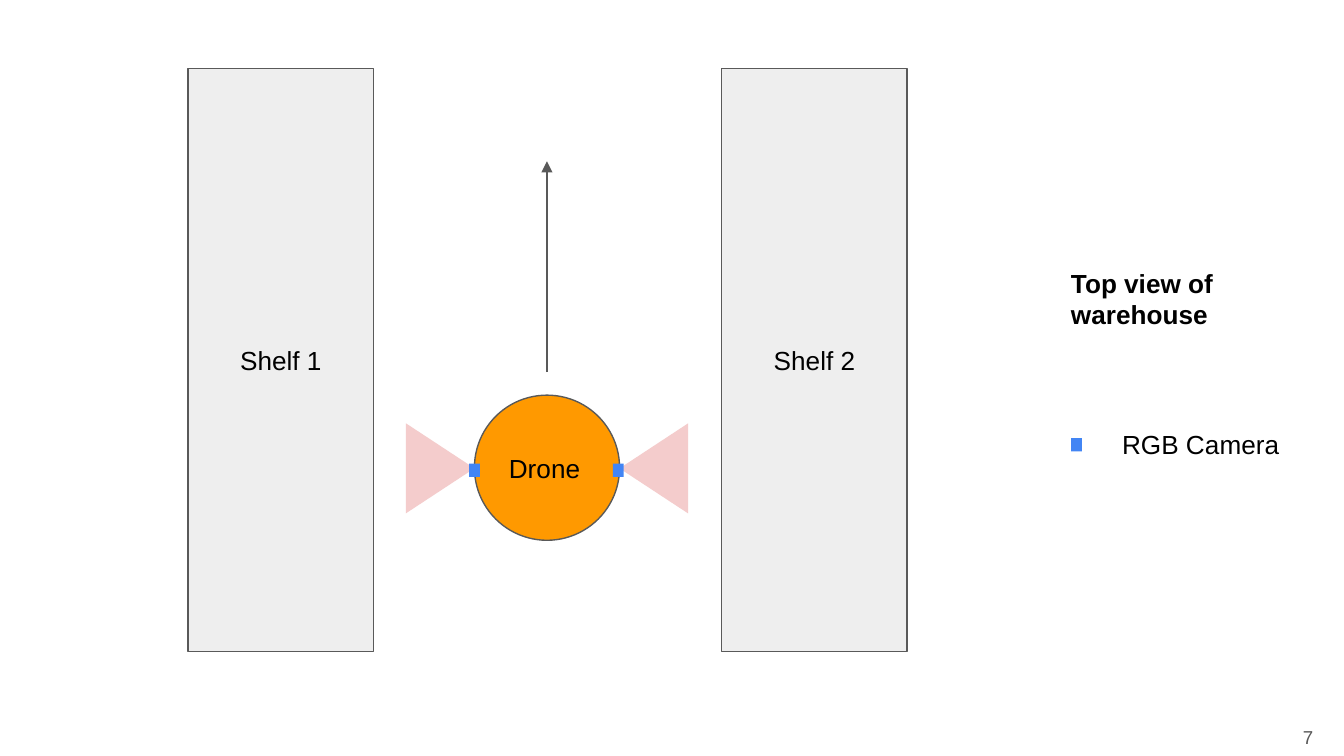
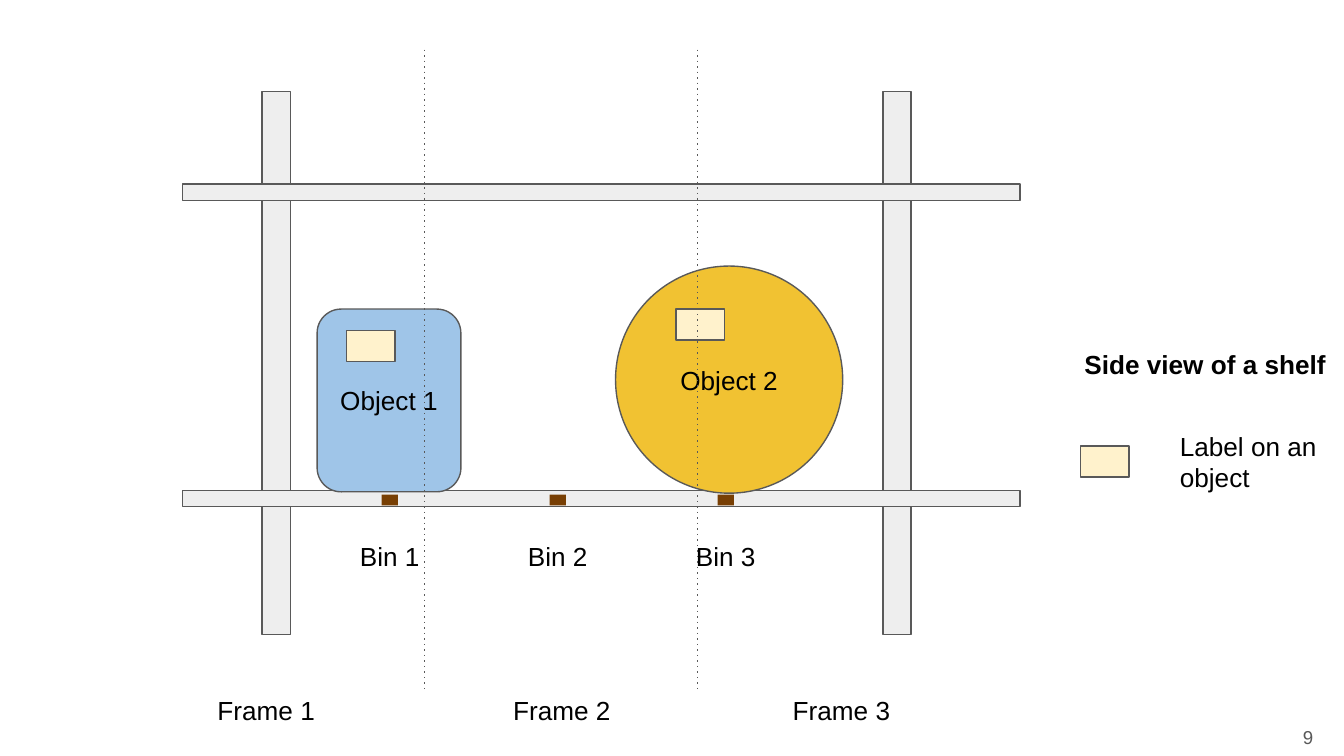
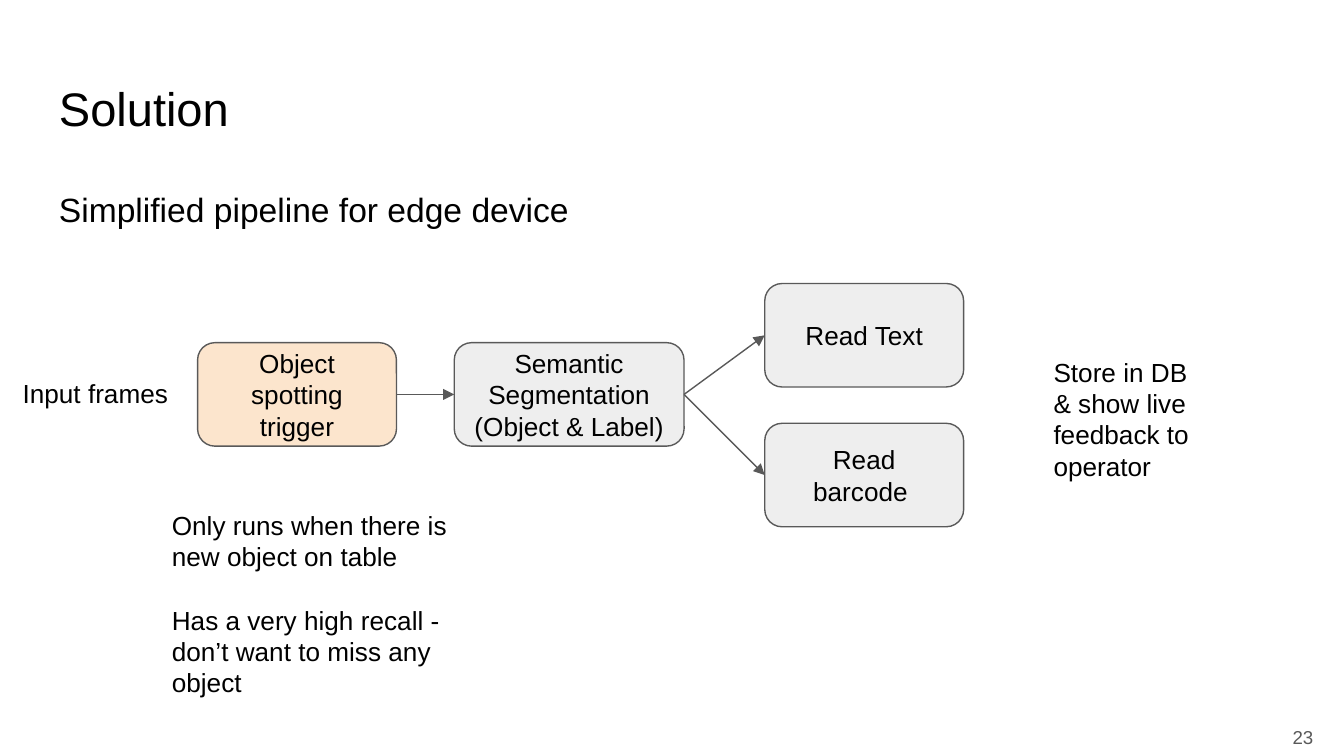
from lxml import etree
from pptx import Presentation
from pptx.dml.color import RGBColor
from pptx.enum.shapes import MSO_CONNECTOR, MSO_SHAPE
from pptx.enum.text import MSO_ANCHOR, MSO_AUTO_SIZE, PP_ALIGN
from pptx.oxml.ns import qn
from pptx.util import Emu, Pt

EMU_PER_PX = 9144  # 100 px to the inch
SLIDE_WIDTH = 1000

BLACK = RGBColor(0x00, 0x00, 0x00)
DARK_GREY = RGBColor(0x59, 0x59, 0x59)
LIGHT_GREY = RGBColor(0xEE, 0xEE, 0xEE)
ORANGE = RGBColor(0xFF, 0x99, 0x00)
PINK = RGBColor(0xF4, 0xCC, 0xCC)
CAMERA_BLUE = RGBColor(0x42, 0x85, 0xF4)
SKY_BLUE = RGBColor(0x9F, 0xC5, 0xE8)
YELLOW = RGBColor(0xF1, 0xC2, 0x32)
CREAM = RGBColor(0xFF, 0xF2, 0xCC)
BROWN = RGBColor(0x78, 0x3F, 0x04)
PEACH = RGBColor(0xFC, 0xE5, 0xCD)

RECTANGLE = MSO_SHAPE.RECTANGLE
ROUNDED = MSO_SHAPE.ROUNDED_RECTANGLE
OVAL = MSO_SHAPE.OVAL
TRIANGLE = MSO_SHAPE.ISOSCELES_TRIANGLE
STRAIGHT = MSO_CONNECTOR.STRAIGHT
LEFT, CENTER, RIGHT = PP_ALIGN.LEFT, PP_ALIGN.CENTER, PP_ALIGN.RIGHT
TOP, MIDDLE = MSO_ANCHOR.TOP, MSO_ANCHOR.MIDDLE
GROW, FIXED = MSO_AUTO_SIZE.SHAPE_TO_FIT_TEXT, MSO_AUTO_SIZE.NONE
LEFT_SIDE, RIGHT_SIDE = 1, 3

LINE_WIDTH = Pt(0.75)
INSET = 10
FONT = {"name": "Arial", "size": Pt(14), "bold": False}
ARROW = ("a:tailEnd", {"type": "triangle"})
DOTTED = ("a:prstDash", {"val": "dot"})


def px(*lengths):
    return [Emu(length * EMU_PER_PX) for length in lengths]


def set_attributes(target, values):
    for name, value in values.items():
        setattr(target, name, value)


def write_text(shape, text, anchor, align, auto_size=FIXED, color=BLACK,
               font=None, spacing=None):
    """Put each line of text in its own paragraph; spacing applies after the first."""
    inset, = px(INSET)
    frame = shape.text_frame
    frame.text = text
    set_attributes(frame, {
        "word_wrap": True, "auto_size": auto_size, "vertical_anchor": anchor,
        "margin_left": inset, "margin_right": inset,
        "margin_top": inset, "margin_bottom": inset,
    })
    for index, paragraph in enumerate(frame.paragraphs):
        paragraph.alignment = align
        if index and spacing:
            paragraph.space_before = spacing
        for run in paragraph.runs:
            set_attributes(run.font, {**FONT, **(font or {})})
            run.font.color.rgb = color


def add_figure(shapes, kind, box, fill, text="", align=CENTER, outlined=True,
               rotation=0):
    shape = shapes.add_shape(kind, *px(*box))
    shape.shadow.inherit = False
    shape.rotation = rotation
    shape.fill.solid()
    shape.fill.fore_color.rgb = fill
    if outlined:
        shape.line.color.rgb = DARK_GREY
        shape.line.width = LINE_WIDTH
    else:
        shape.line.fill.background()
    if text:
        write_text(shape, text, MIDDLE, align)
    return shape


def add_label(shapes, box, text, anchor=TOP, align=LEFT, auto_size=GROW, **style):
    label = shapes.add_textbox(*px(*box))
    write_text(label, text, anchor, align, auto_size, **style)
    return label


def add_line(slide, start, end, ending):
    line = slide.shapes.add_connector(STRAIGHT, *px(*start, *end))
    line.line.color.rgb = DARK_GREY
    line.line.width = LINE_WIDTH
    properties = line.element.spPr
    tag, attributes = ending
    etree.SubElement(properties.find(qn("a:ln")), qn(tag), attributes)
    etree.SubElement(properties, qn("a:effectLst"))
    return line


def join(slide, source, target):
    arrow = add_line(slide, (0, 0), (0, 0), ARROW)
    arrow.begin_connect(source, RIGHT_SIDE)
    arrow.end_connect(target, LEFT_SIDE)


def add_slide(presentation, number):
    slide = presentation.slides.add_slide(presentation.slide_layouts[6])
    add_label(slide.shapes, (927, 527, 60, 43), str(number), MIDDLE, RIGHT, FIXED,
              color=DARK_GREY, font={"size": Pt(10)})
    return slide


def build_top_view(presentation):
    slide = add_slide(presentation, 7)
    shapes = slide.shapes
    for left, name in ((140, "Shelf 1"), (537, "Shelf 2")):
        add_figure(shapes, RECTANGLE, (left, 51, 138, 434), LIGHT_GREY, name)
    add_label(shapes, (787, 189, 139, 67), "Top view of warehouse",
              font={"bold": True})
    add_figure(shapes, OVAL, (353, 294, 108, 108), ORANGE, "Drone", LEFT)
    add_line(slide, (407, 277), (407, 120), ARROW)
    for left, rotation in ((453, 270), (294, 90)):
        add_figure(shapes, TRIANGLE, (left, 323, 67, 51), PINK,
                   outlined=False, rotation=rotation)
    for left, top in ((349, 345), (456, 345), (797, 326)):
        add_figure(shapes, RECTANGLE, (left, top, 8, 10), CAMERA_BLUE,
                   outlined=False)
    add_label(shapes, (825, 309, 175, 44), "RGB Camera")


def add_bin(slide, number):
    left = 250 + 125 * (number - 1)
    group = slide.shapes.add_group_shape()
    add_figure(group.shapes, RECTANGLE, (left + 34, 368, 12, 8), BROWN,
               outlined=False)
    add_label(group.shapes, (left, 392, 80, 44), f"Bin {number}", align=CENTER)


def build_side_view(presentation):
    slide = add_slide(presentation, 9)
    shapes = slide.shapes
    for post_left in (195, 657):
        add_figure(shapes, RECTANGLE, (post_left, 68, 21, 404), LIGHT_GREY)
    for board_top in (365, 137):
        add_figure(shapes, RECTANGLE, (136, board_top, 623, 12), LIGHT_GREY)
    add_label(shapes, (797, 249, 206, 44), "Side view of a shelf",
              font={"bold": True})
    add_figure(shapes, ROUNDED, (236, 230, 107, 136), SKY_BLUE, "Object 1")
    add_bin(slide, 1)
    add_figure(shapes, OVAL, (458, 198, 169, 169), YELLOW, "Object 2")
    for number in (2, 3):
        add_bin(slide, number)
    for left, top in ((258, 246), (503, 230), (804, 332)):
        add_figure(shapes, RECTANGLE, (left, top, 36, 23), CREAM)
    add_label(shapes, (868, 310, 131, 67), "Label on an object")
    for divider in (316, 519):
        add_line(slide, (divider, 37), (divider, 515), DOTTED)
    for number, left in enumerate((152, 372, 580), start=1):
        add_label(shapes, (left, 507, 107, 44), f"Frame {number}")


def build_solution(presentation):
    slide = add_slide(presentation, 23)
    shapes = slide.shapes
    add_label(shapes, (34, 49, 932, 63), "Solution", auto_size=FIXED,
              font={"size": Pt(25.2)})
    subtitle = add_label(shapes, (34, 126, 932, 70),
                         "Simplified pipeline for edge device",
                         auto_size=FIXED, font={"size": Pt(18)})
    set_attributes(subtitle.text_frame.paragraphs[0],
                   {"line_spacing": 1.15, "space_after": Pt(12)})
    add_label(shapes, (7, 271, 130, 44), "Input frames")

    trigger, segmentation, *readers = [
        add_figure(shapes, ROUNDED, (left, top, width, 77), fill, text)
        for left, top, width, fill, text in (
            (147, 255, 148, PEACH, "Object spotting trigger"),
            (338, 255, 171, LIGHT_GREY, "Semantic Segmentation (Object & Label)"),
            (569, 211, 148, LIGHT_GREY, "Read Text"),
            (569, 315, 148, LIGHT_GREY, "Read barcode "),
        )
    ]
    join(slide, trigger, segmentation)
    for reader in readers:
        join(slide, segmentation, reader)

    add_label(shapes, (774, 255, 148, 114),
              "Store in DB \v& show live feedback to operator")
    add_label(shapes, (118, 369, 252, 162),
              "Only runs when there is new object on table\n"
              "Has a very high recall - don’t want to miss any object",
              spacing=Pt(17))


def main():
    presentation = Presentation()
    presentation.slide_width, = px(SLIDE_WIDTH)
    presentation.slide_height = presentation.slide_width * 9 // 16
    build_top_view(presentation)
    build_side_view(presentation)
    build_solution(presentation)
    presentation.save("out.pptx")


if __name__ == "__main__":
    main()
